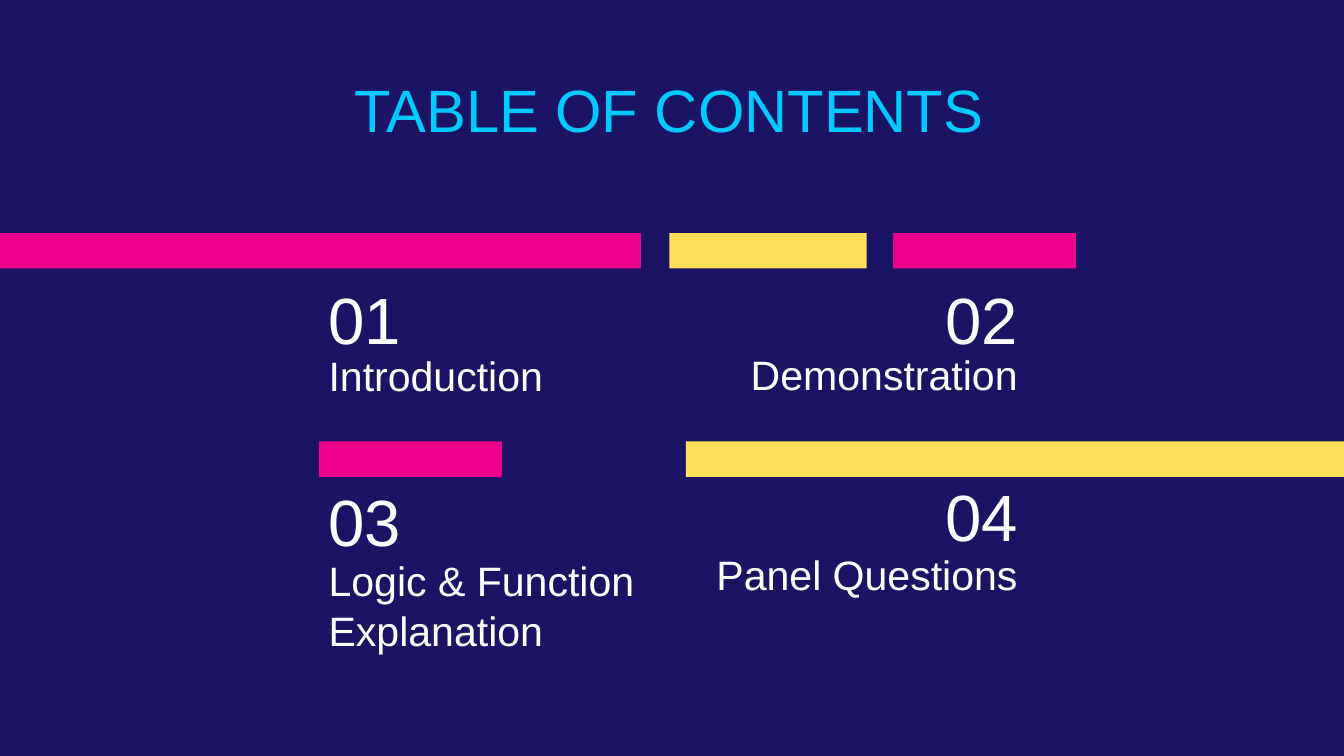
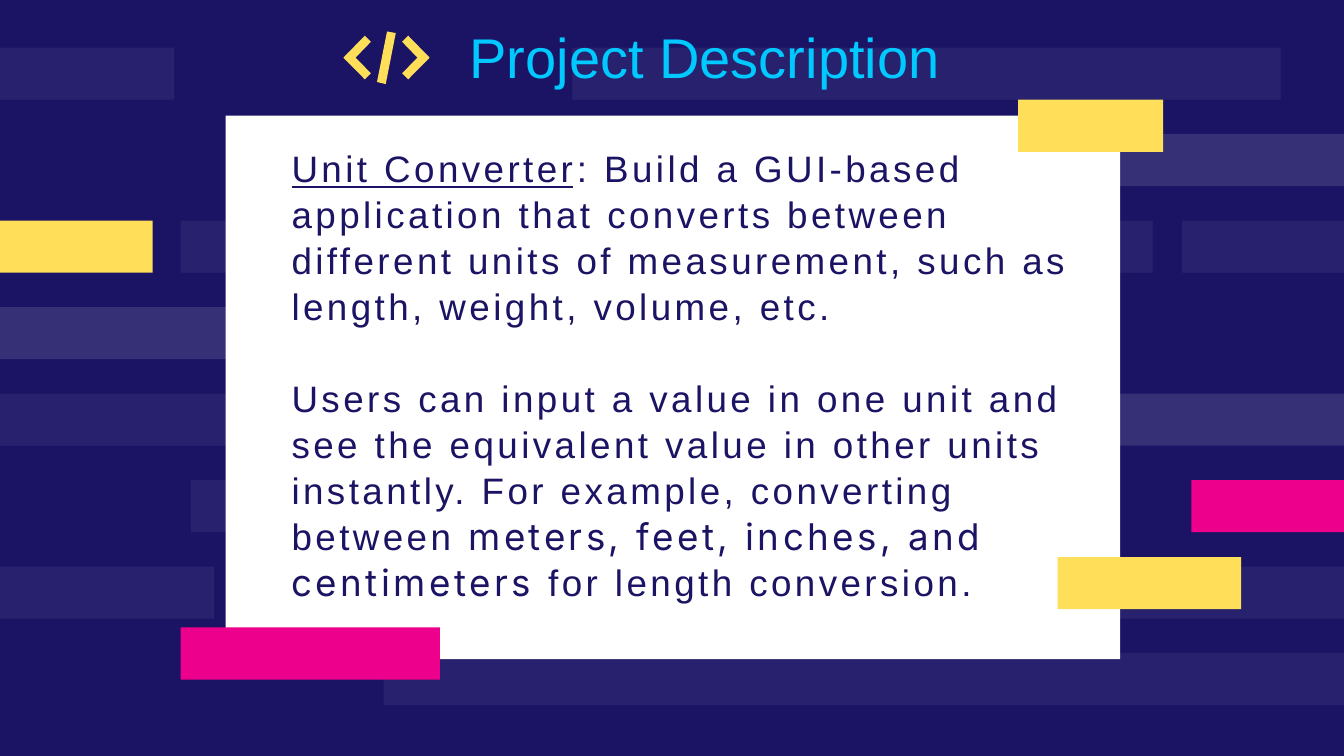
from lxml.etree import SubElement
from pptx import Presentation
from pptx.dml.color import RGBColor
from pptx.enum.shapes import MSO_SHAPE
from pptx.enum.text import MSO_ANCHOR, MSO_AUTO_SIZE, PP_ALIGN
from pptx.oxml.ns import qn
from pptx.util import Cm, Pt

HUES = {name: RGBColor.from_string(code) for name, code in {
    "navy": "1B1464", "pink": "EC008C", "gold": "FFDE59",
    "cyan": "00C9FF", "white": "FFFFFF"}.items()}
WIDE = 50.8


def bar(slide, left, top, width, height, hue, alpha=100):
    """Draw a plain block, in cm, with its opacity in percent."""
    block = slide.shapes.add_shape(
        MSO_SHAPE.RECTANGLE, Cm(left), Cm(top), Cm(width), Cm(height))
    block.shadow.inherit = False
    block.line.fill.background()
    block.fill.solid()
    block.fill.fore_color.rgb = HUES[hue]
    if alpha < 100:
        tint = block.fill._xPr.find(".//" + qn("a:srgbClr"))
        SubElement(tint, qn("a:alpha"), val=str(alpha * 1000))


def write(shape, place, text, size, hue, align=PP_ALIGN.LEFT, lead=None):
    """Place a text shape, in cm, and style its text."""
    shape.left, shape.top, shape.width, shape.height = map(Cm, place)
    frame = shape.text_frame
    frame.margin_left = frame.margin_right = 0
    frame.margin_top = frame.margin_bottom = 0
    frame.word_wrap = True
    frame.auto_size = MSO_AUTO_SIZE.NONE
    frame.vertical_anchor = MSO_ANCHOR.TOP
    frame.text = text
    for para in frame.paragraphs:
        para.alignment = align
        para.line_spacing = Pt(lead or size * 1.2)
        for run in para.runs:
            run.font.name = "Arial"
            run.font.size = Pt(size)
            run.font.color.rgb = HUES[hue]


deck = Presentation()
deck.slide_width, deck.slide_height = Cm(WIDE), Cm(28.58)
back = deck.slide_master.background.fill
back.solid()
back.fore_color.rgb = HUES["navy"]
layout = deck.slide_layouts[5]

# Slide 1: table of contents
slide = deck.slides.add_slide(layout)
write(slide.shapes.title, (7.24, 2.77, 36.09, 2.77), "TABLE OF CONTENTS",
      64, "cyan", PP_ALIGN.CENTER)

for left, top, width, hue in [
        (0, 8.81, 24.23, "pink"), (33.76, 8.81, 6.91, "pink"),
        (12.06, 16.69, 6.91, "pink"), (25.93, 16.69, WIDE - 25.93, "gold"),
        (25.3, 8.81, 7.46, "gold")]:
    bar(slide, left, top, width, 1.34, hue)

topics = [("Introduction", 10.54, 13.23),
          ("Demonstration", 10.54, 13.21),
          ("Logic & Function\nExplanation", 18.19, 21.01),
          ("Panel Questions", 18.01, 20.78)]
for num, (topic, top, below) in enumerate(topics):
    left, width, align = [(12.42, 13.51, PP_ALIGN.LEFT),
                          (26.97, 11.51, PP_ALIGN.RIGHT)][num % 2]
    for text, high, tall, size in [(f"{num + 1:02}", top, 1.45, 70),
                                   (topic, below, 3.76, 44)]:
        box = slide.shapes.add_textbox(0, 0, 0, 0)
        write(box, (left, high, width, tall), text, size, "white", align)

# Slide 2: project description
slide = deck.slides.add_slide(layout)
THICK, FIRST, PITCH = 1.97, 1.8, 3.27
rows = [
    [(0, 6.58, "white", 6), (21.64, 26.77, "white", 6)],
    [(38.3, 12.5, "white", 12)],
    [(0, 5.77, "gold", 100), (6.83, 6.12, "white", 6),
     (30.43, 13.14, "white", 6), (44.68, 6.12, "white", 6)],
    [(0, 9.8, "white", 12)],
    [(0, 12.5, "white", 6), (41.6, 9.2, "white", 12)],
    [(7.22, 2.73, "white", 6), (45.03, 5.77, "pink", 100)],
    [(0, 8.1, "white", 6), (41, 9.8, "white", 6)],
    [(14.5, 36.3, "white", 6)],
]
for row, bars in enumerate(rows):
    for left, width, hue, alpha in bars:
        bar(slide, left, FIRST + row * PITCH, width, THICK, hue, alpha)

bar(slide, 8.53, 4.37, 33.81, 20.55, "white")
for left, top, width, hue in [(6.83, 23.72, 9.8, "pink"),
                              (39.98, 21.06, 6.93, "gold"),
                              (38.48, 3.77, 5.49, "gold")]:
    bar(slide, left, top, width, THICK, hue)

# Code icon: two mirrored chevrons and a slash
AXIS = 14.61
chevron = [(13.79, 1.35), (12.98, 2.18), (13.79, 3), (14.02, 2.77),
           (13.44, 2.18), (14.02, 1.58)]
mirror = [(2 * AXIS - x, y) for x, y in chevron]
slash = [(14.63, 1.19), (14.25, 3.1), (14.58, 3.18), (14.96, 1.25)]
for points in (chevron, mirror, slash):
    spots = [(Cm(x), Cm(y)) for x, y in points]
    pen = slide.shapes.build_freeform(*spots[0])
    pen.add_line_segments(spots[1:], close=True)
    mark = pen.convert_to_shape()
    mark.shadow.inherit = False
    mark.line.fill.background()
    mark.fill.solid()
    mark.fill.fore_color.rgb = HUES["gold"]

title = slide.shapes.title
write(title, (8.59, 0.86, 36.09, 2.59), "Project Description",
      60, "cyan", PP_ALIGN.CENTER)
slide.shapes.element.append(title.element)  # keep the title above the bars

body = slide.shapes.add_textbox(0, 0, 0, 0)
frame = body.text_frame
write(body, (11.02, 5.46, 31.42, 17.25), "Unit Converter\nUsers can input a "
      "value in one unit and see the equivalent value in other units "
      "instantly. For example, converting between", 39.4, "navy", lead=49.2)
first, last = frame.paragraphs
first.space_after = Pt(49.2)
first.runs[0].font.underline = True
for para, text, face in [
        (first, ": Build a GUI-based application that converts between "
         "different units of measurement, such as length, weight, volume, "
         "etc.", "Arial"),
        (last, " meters, feet, inches, and centimeters", "Inter"),
        (last, " for length conversion.", "Arial")]:
    run = para.add_run()
    run.text = text
    run.font.name = face
    run.font.size = Pt(39.4)
    run.font.color.rgb = HUES["navy"]
for para in frame.paragraphs:
    for run in para.runs:
        run._r.get_or_add_rPr().set("spc", "370")

deck.save("out.pptx")
